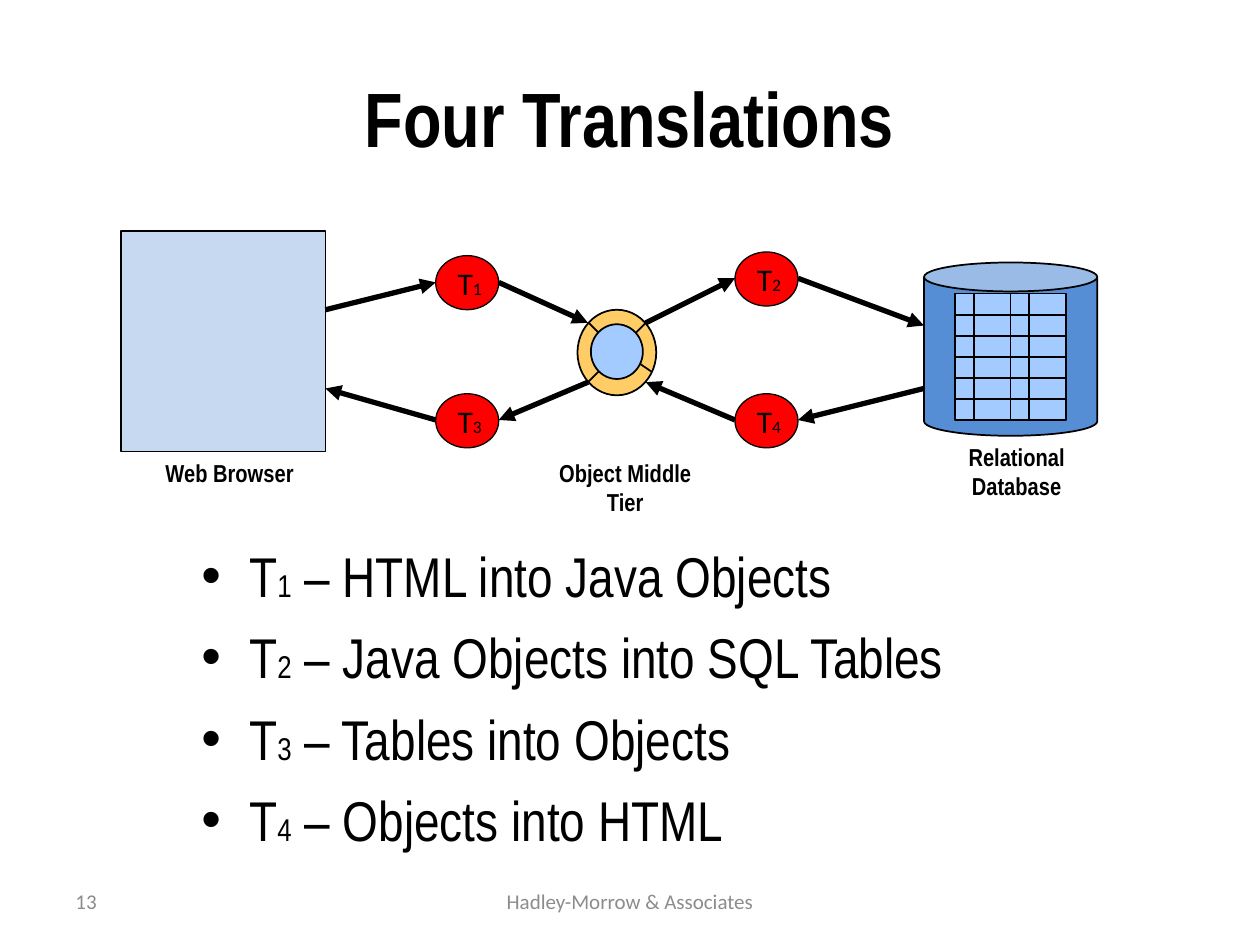
from lxml import etree
from pptx import Presentation
from pptx import util as u
from pptx.dml.color import RGBColor
from pptx.enum import shapes, text
from pptx.oxml import ns

BLACK = RGBColor(0, 0, 0)
GREY = RGBColor(0x8C, 0x8C, 0x8C)
PALE = RGBColor(0xC6, 0xD9, 0xF1)
BLUE = RGBColor(0x55, 0x8E, 0xD5)
SKY = RGBColor(0xA4, 0xCB, 0xFF)
GOLD = RGBColor(0xFF, 0xCC, 0x66)
RED = RGBColor(0xFF, 0, 0)
NARROW, PLAIN = "Arial Narrow", "Calibri"
KIND = shapes.MSO_SHAPE
LEFT, MID = text.PP_ALIGN.LEFT, text.PP_ALIGN.CENTER

# The slide is a grid of 240 columns and 180 rows
COLS, ROWS = 240, 180
UNIT = u.Inches(10) / COLS


def grid(*vals):
    return [u.Emu(round(v * UNIT)) for v in vals]


def part(box, x, y, w=0, h=0):
    """Turn shares of a box into grid units."""
    return box[0] + x * box[2], box[1] + y * box[3], w * box[2], h * box[3]


def shape(home, kind, box, fill, width=1):
    item = home.add_shape(kind, *grid(*box))
    item.shadow.inherit = False
    item.fill.solid()
    item.fill.fore_color.rgb = fill
    item.line.color.rgb = BLACK
    item.line.width = u.Pt(width)
    return item


def line(home, start, end, width=1, head=False):
    item = home.add_connector(shapes.MSO_CONNECTOR.STRAIGHT, *grid(*start, *end))
    item.line.color.rgb = BLACK
    item.line.width = u.Pt(width)
    if head:
        etree.SubElement(item.line._get_or_add_ln(), ns.qn("a:tailEnd"), type="triangle")
    etree.SubElement(item._element.spPr, ns.qn("a:effectLst"))


def write(para, words, size, font, color=BLACK, bold=False):
    run = para.add_run()
    run.text = words
    run.font.size = u.Pt(size)
    run.font.name = font
    run.font.bold = bold
    run.font.color.rgb = color


def label(home, box, lines, size, font, color=BLACK, bold=False,
          align=MID, wrap=False, anchor=text.MSO_ANCHOR.TOP):
    frame = home.add_textbox(*grid(*box)).text_frame
    frame.word_wrap = wrap
    frame.vertical_anchor = anchor
    for i, words in enumerate(lines):
        para = frame.add_paragraph() if i else frame.paragraphs[0]
        para.alignment = align
        write(para, words, size, font, color, bold)


def title(slide, box):
    item = slide.shapes.title
    item.left, item.top, item.width, item.height = grid(*box)
    item.text_frame.vertical_anchor = text.MSO_ANCHOR.MIDDLE
    para = item.text_frame.paragraphs[0]
    para.alignment = MID
    write(para, "Four Translations", 44, NARROW, bold=True)


def ring(home, box):
    """Middle tier: a core inside a ring cut by four spokes."""
    group = home.add_group_shape().shapes
    shape(group, KIND.OVAL, box, GOLD)
    shape(group, KIND.OVAL, part(box, 0.17, 0.17, 0.66, 0.64), SKY)
    spokes = [(0.14, 0.15, 0.27, 0.27), (0.14, 0.84, 0.27, 0.72),
              (0.74, 0.27, 0.87, 0.15), (0.79, 0.63, 0.95, 0.73)]
    for x1, y1, x2, y2 in spokes:
        line(group, part(box, x1, y1)[:2], part(box, x2, y2)[:2])


def base(home, box):
    """Database: a can that holds a small ruled table."""
    can = shape(home, KIND.CAN, box, BLUE)
    can.adjustments[0] = 0.167
    inner = part(box, 0.18, 0.18, 0.64, 0.73)
    group = home.add_group_shape().shapes
    for x, w in ((0, 1), (1, 2), (3, 1), (4, 2)):
        shape(group, KIND.RECTANGLE, part(inner, x / 6, 0, w / 6, 1), SKY)
    for i in range(1, 6):
        line(group, part(inner, 0, i / 6)[:2], part(inner, 1, i / 6)[:2])


def node(home, box, digit):
    frame = shape(home, KIND.OVAL, box, RED, 0.75).text_frame
    frame.margin_left = u.Inches(0.04)
    frame.margin_right = frame.margin_top = frame.margin_bottom = 0
    frame.word_wrap = False
    frame.vertical_anchor = text.MSO_ANCHOR.MIDDLE
    para = frame.paragraphs[0]
    para.alignment = MID
    write(para, "T", 18, PLAIN)
    write(para, digit, 10, PLAIN)


def flow(home, box):
    """Diagram: browser, middle tier and database, joined by four nodes."""
    x, y, w, h = box
    shape(home, KIND.RECTANGLE, (x, y, 39, 42), PALE)
    base(home, (x + w - 33, y + 6, 33, 33))
    ring(home, (x + 87, y + 15, 15, 16.3))
    for digit, col, row in (("1", 60, 4.7), ("2", 117, 4), ("3", 60, 31), ("4", 117, 31)):
        node(home, (x + col, y + row, 12, 10.3), digit)

    # Each route lists start and end pairs, out and then back
    stops = [((39, 15), (60, 9.8)), ((72, 9.8), (89, 17.5)),
             ((100, 17.5), (117, 9)), ((129, 9), (153, 18)),
             ((153, 30), (129, 36)), ((117, 36), (100, 28.8)),
             ((89, 28.8), (72, 36)), ((60, 36), (39, 30))]
    for (x1, y1), (x2, y2) in stops:
        line(home, (x + x1, y + y1), (x + x2, y + y2), 3, True)

    names = [(6, h, 29.5, 8.2, ["Web Browser"]),
             (81, h, 30.2, 13.7, ["Object Middle", "Tier"]),
             (159, h - 3, 23.3, 13.7, ["Relational", "Database"])]
    for col, row, wide, high, lines in names:
        label(home, (x + col, y + row, wide, high), lines, 14, NARROW, bold=True)


def bullets(home, box):
    frame = home.add_textbox(*grid(*box)).text_frame
    frame.word_wrap = True
    ends = ["HTML into Java Objects", "Java Objects into SQL Tables",
            "Tables into Objects", "Objects into HTML"]
    for i, end in enumerate(ends):
        para = frame.add_paragraph() if i else frame.paragraphs[0]
        prop = para._p.get_or_add_pPr()
        prop.set("marL", str(u.Inches(0.38)))
        prop.set("indent", str(-u.Inches(0.38)))
        etree.SubElement(prop, ns.qn("a:buFont"), typeface="Arial")
        etree.SubElement(prop, ns.qn("a:buChar"), char="•")
        para.space_before = u.Pt(8 if i else 0)
        write(para, "T", 32, NARROW)
        write(para, str(i + 1), 18, NARROW)
        write(para, f" – {end}", 32, NARROW)


def footer(home, box):
    x, y, w, h = box
    style = dict(size=12, font=PLAIN, color=GREY, wrap=True,
                 anchor=text.MSO_ANCHOR.MIDDLE)
    label(home, (x, y, 56, h), ["13"], align=LEFT, **style)
    label(home, (x + (w - 76) / 2, y, 76, h), ["Hadley-Morrow & Associates"], **style)


def main():
    deck = Presentation()
    deck.slide_width, deck.slide_height = grid(COLS, ROWS)
    slide = deck.slides.add_slide(deck.slide_layouts[5])
    title(slide, (12, 7.2, 216, 30))
    flow(slide.shapes, (23, 44, 186, 42))
    bullets(slide.shapes, (36, 102, 166, 60))
    footer(slide.shapes, (12, 166.8, 216, 9.6))
    deck.save("out.pptx")


if __name__ == "__main__":
    main()
